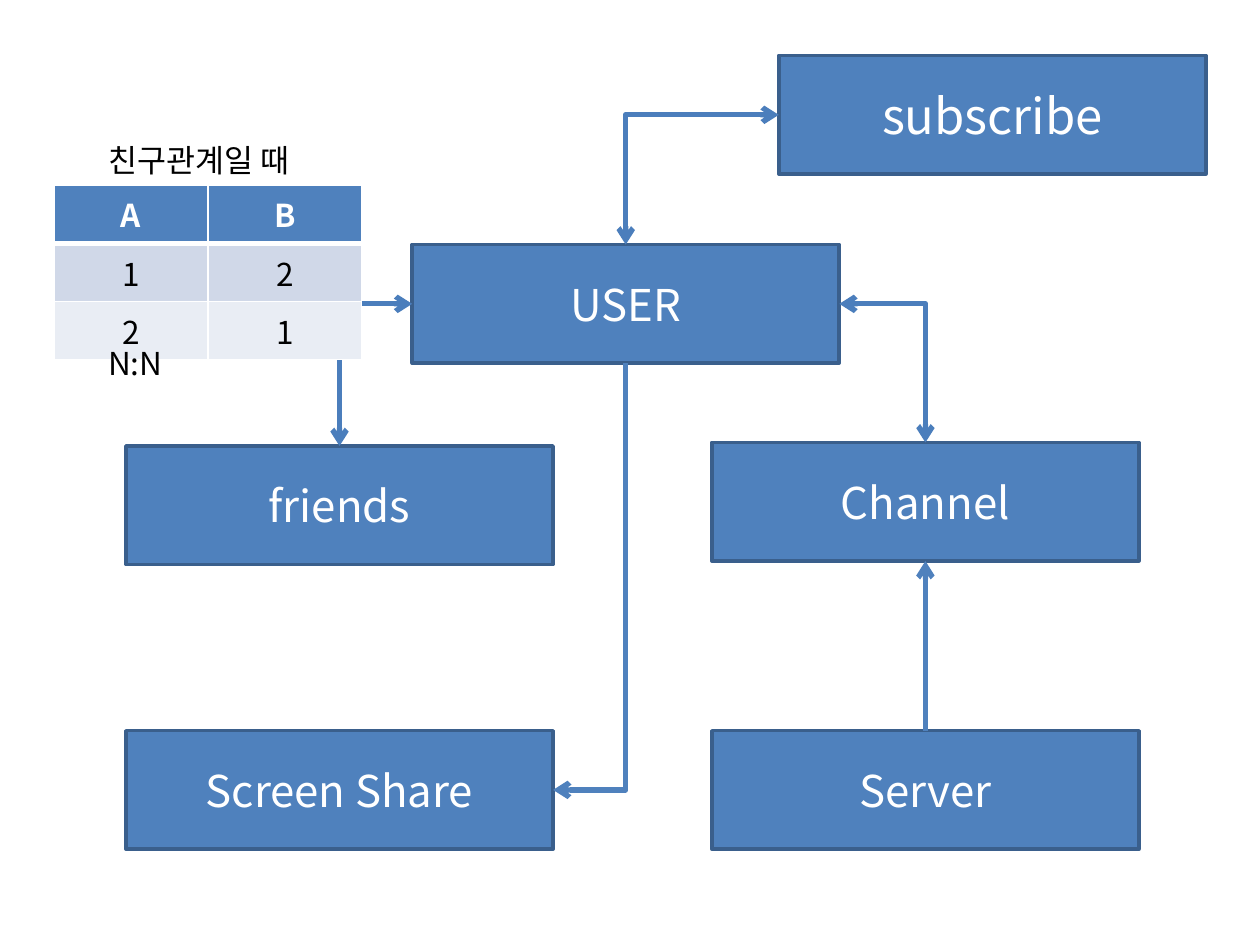
from lxml import etree
from pptx import Presentation
from pptx.dml.color import RGBColor
from pptx.enum import shapes, text
from pptx.oxml.ns import qn
from pptx.util import Cm, Pt

FONT = "Noto Sans CJK KR"
BLUE = RGBColor(0x4F, 0x81, 0xBD)
LINK = RGBColor(0x4B, 0x7E, 0xBC)
EDGE = RGBColor(0x3A, 0x5F, 0x8C)
BAND_DARK = RGBColor(0xD0, 0xD8, 0xE8)
BAND_LIGHT = RGBColor(0xE9, 0xED, 0xF4)
WHITE = RGBColor(0xFF, 0xFF, 0xFF)
BLACK = RGBColor(0, 0, 0)
TOP, LEFT, BOTTOM, RIGHT = range(4)  # connection sites of a rectangle


class Diagram:
    """Draws styled elements on one slide."""

    box_size = Cm(8.61), Cm(2.39)

    def __init__(self, slide):
        """Keep the slide to draw on."""
        self.shapes = slide.shapes

    def add_text(self, tf, words, size, color, align=None, bold=False):
        """Add one run of text to the first paragraph."""
        p = tf.paragraphs[0]
        p.alignment = align
        r = p.add_run()
        r.text = words
        r.font.name = FONT
        r.font.size = Pt(size)
        r.font.bold = bold
        r.font.color.rgb = color
        etree.SubElement(r.font._element, qn("a:ea"), typeface=FONT)

    def box(self, words, left, top, size=25):
        """Add an entity box with a centred name."""
        sp = self.shapes.add_shape(
            shapes.MSO_SHAPE.RECTANGLE, Cm(left), Cm(top), *self.box_size)
        sp.shadow.inherit = False
        sp.fill.solid()
        sp.fill.fore_color.rgb = BLUE
        sp.line.color.rgb = EDGE
        sp.line.width = Pt(2)
        sp.text_frame.vertical_anchor = text.MSO_ANCHOR.MIDDLE
        self.add_text(sp.text_frame, words, size, WHITE, text.PP_ALIGN.CENTER)
        return sp

    def link(self, begin, end, heads, color=LINK, bent=True):
        """Join two (box, site) pairs; a bent link leaves its begin sideways."""
        kind = shapes.MSO_CONNECTOR.ELBOW if bent else shapes.MSO_CONNECTOR.STRAIGHT
        cxn = self.shapes.add_connector(kind, 0, 0, 0, 0)
        cxn.begin_connect(*begin)
        cxn.end_connect(*end)
        cxn.line.color.rgb = color
        cxn.line.width = Pt(3)
        sp_pr = cxn._element.spPr
        if bent:
            sp_pr.find(qn("a:prstGeom")).set("prst", "bentConnector2")
        for head in heads:
            etree.SubElement(sp_pr.find(qn("a:ln")), qn("a:" + head), type="arrow")
        etree.SubElement(sp_pr, qn("a:effectLst"))

    def label(self, words, left, top, width):
        """Add a plain line of text."""
        sp = self.shapes.add_textbox(Cm(left), Cm(top), Cm(width), Cm(1.02))
        sp.text_frame.word_wrap = True
        self.add_text(sp.text_frame, words, 18, BLACK)

    def borders(self, cell, **widths):
        """Give a cell white borders, with widths in points by side."""
        tc_pr = cell._tc.get_or_add_tcPr()
        for side in "LRTB":
            ln = etree.SubElement(tc_pr, qn("a:ln" + side),
                                  w=str(Pt(widths.get(side, 1))))
            fill = etree.SubElement(ln, qn("a:solidFill"))
            etree.SubElement(fill, qn("a:srgbClr"), val=str(WHITE))

    def table(self, rows, fills, left, top, col_width, row_height):
        """Add a table with a header row and one fill per row."""
        cols = len(rows[0])
        table = self.shapes.add_table(
            len(rows), cols, Cm(left), Cm(top),
            Cm(col_width * cols), Cm(row_height * len(rows))).table
        for i, (row, color) in enumerate(zip(rows, fills)):
            header = i == 0
            for j, words in enumerate(row):
                cell = table.cell(i, j)
                self.borders(cell, T=3 if i == 1 else 1, B=3 if header else 1)
                cell.fill.solid()
                cell.fill.fore_color.rgb = color
                self.add_text(cell.text_frame, words, 18, WHITE if header else BLACK,
                              text.PP_ALIGN.CENTER, header)


def build():
    """Build the entity diagram and save it."""
    prs = Presentation()
    prs.slide_width, prs.slide_height = Cm(25.4), Cm(19.05)
    d = Diagram(prs.slides.add_slide(prs.slide_layouts[6]))

    left_col, right_col, bottom_row = 2.54, 14.35, 14.73
    user = d.box("USER", 8.31, 4.93)
    server = d.box("Server", right_col, bottom_row)
    channel = d.box("Channel", right_col, 8.92)
    friends = d.box("friends", left_col, 8.99)
    screen = d.box("Screen Share", left_col, bottom_row)

    both = "headEnd", "tailEnd"
    d.link((screen, RIGHT), (user, BOTTOM), ["headEnd"], BLUE)
    d.link((server, TOP), (channel, BOTTOM), ["tailEnd"], BLUE, bent=False)
    d.link((user, RIGHT), (channel, TOP), both)
    d.link((user, LEFT), (friends, TOP), both)

    d.table([("A", "B"), ("1", "2"), ("2", "1")],
            [BLUE, BAND_DARK, BAND_LIGHT], 1.09, 3.73, 3.1, 1.03)
    d.label("친구관계일 때", 1.93, 2.72, 4.83)
    d.label("N:N", 1.93, 6.81, 1.65)

    subscribe = d.box("subscribe", 15.7, 1.12, 28)
    d.link((subscribe, LEFT), (user, TOP), both)
    prs.save("out.pptx")


build()
